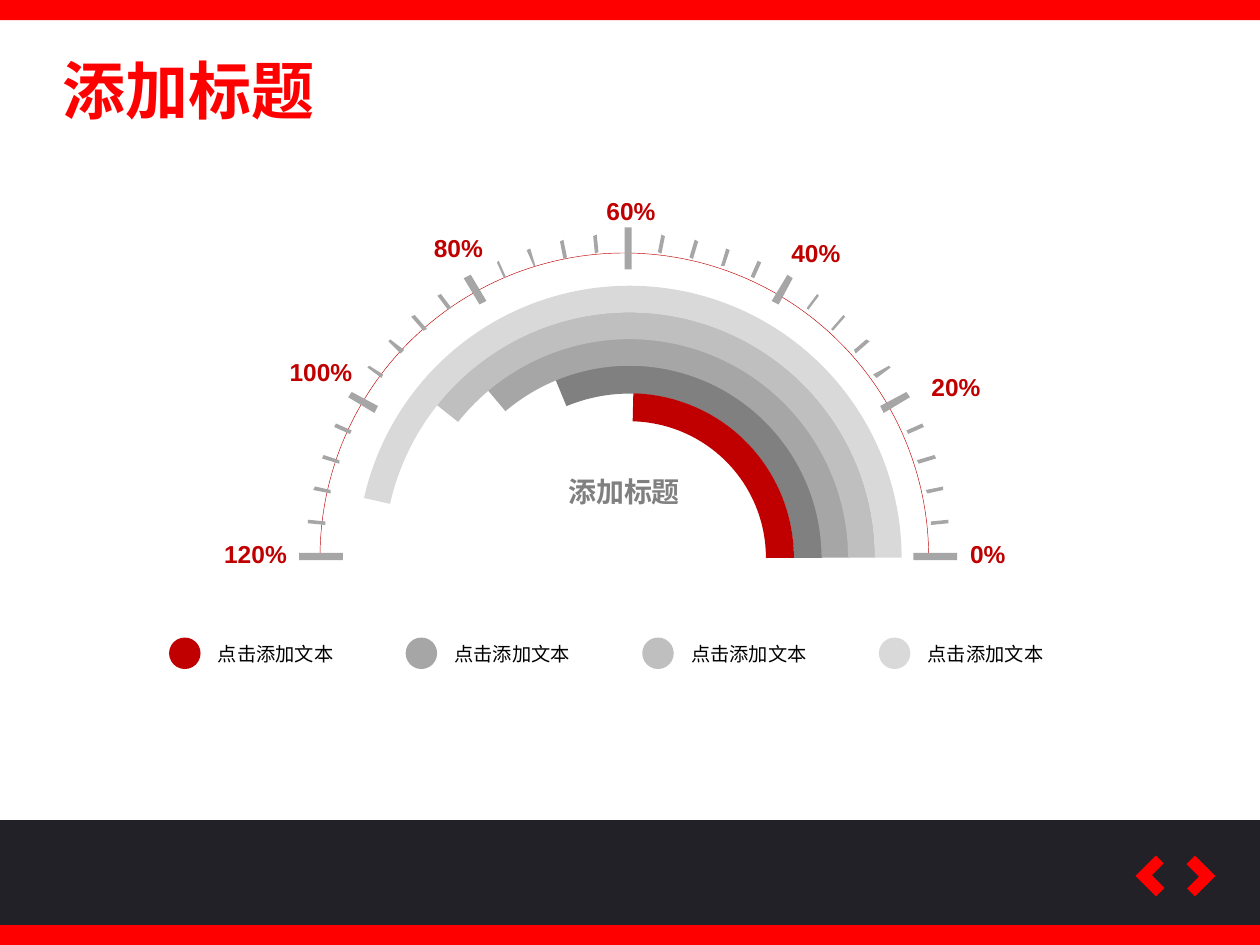
import math

import pptx
import pptx.dml.color
import pptx.enum.shapes
import pptx.enum.text
import pptx.oxml
import pptx.oxml.ns
import pptx.util

Pt = pptx.util.Pt
RGBColor = pptx.dml.color.RGBColor
SHAPE = pptx.enum.shapes.MSO_SHAPE
ALIGN = pptx.enum.text.PP_ALIGN

RED = RGBColor(0xFF, 0x00, 0x00)
DARK_RED = RGBColor(0xC0, 0x00, 0x00)
INK = RGBColor(0x22, 0x21, 0x27)
BLACK = RGBColor(0x00, 0x00, 0x00)
GRAY = RGBColor(0x80, 0x80, 0x80)
MID_GRAY = RGBColor(0xA6, 0xA6, 0xA6)
SILVER = RGBColor(0xBF, 0xBF, 0xBF)
PALE_GRAY = RGBColor(0xD9, 0xD9, 0xD9)

CJK = "Noto Sans CJK SC"
TITLE = {"size": Pt(36), "bold": True, "name": CJK}
CAPTION = {"size": Pt(16), "bold": True, "name": CJK}
LEGEND = {"size": Pt(11), "bold": False, "name": CJK}
PERCENT = {"size": Pt(14), "bold": True, "name": "Arial"}


def paint(shape, color):
    shape.shadow.inherit = False
    shape.fill.solid()
    shape.fill.fore_color.rgb = color
    shape.line.fill.background()


def add_filled(slide, preset, box, color, adjustments=(), rotation=0):
    shape = slide.shapes.add_shape(preset, *(Pt(length) for length in box))
    for index, value in enumerate(adjustments):
        shape.adjustments[index] = value
    shape.rotation = rotation
    paint(shape, color)


def add_text(slide, box, text, style, color, align=ALIGN.LEFT, wrap=False):
    frame = slide.shapes.add_textbox(*(Pt(length) for length in box)).text_frame
    frame.word_wrap = wrap
    paragraph = frame.paragraphs[0]
    paragraph.alignment = align
    run = paragraph.add_run()
    run.text = text
    for attribute, value in style.items():
        setattr(run.font, attribute, value)
    run.font.color.rgb = color
    east_asian = pptx.oxml.parse_xml(
        f'<a:ea {pptx.oxml.ns.nsdecls("a")} typeface="{style["name"]}"/>')
    run.font._element.append(east_asian)


def add_frame(slide, width, height):
    band = 11.5
    add_filled(slide, SHAPE.RECTANGLE, (0, height - band, width, band), RED)
    add_filled(slide, SHAPE.RECTANGLE, (0, 468.6, width, height - band - 468.6), INK)
    for left, rotation in ((652.3, 45), (674.6, 225)):
        add_filled(slide, SHAPE.CORNER, (left, 492.3, 16.5, 16.5), RED,
                   (0.415, 0.386), rotation)
    add_filled(slide, SHAPE.RECTANGLE, (0, 0, width, band), RED)


def add_rings(slide, center_x, center_y):
    rings = [
        (220.4, 247.46, 359.97, 0.074, GRAY),
        (250.6, 229.8, 359.9, 0.062, MID_GRAY),
        (280.8, 218.44, 359.97, 0.055, SILVER),
        (311, 192.71, 359.97, 0.049, PALE_GRAY),
        (188, 271.37, 0.07, 0.085, DARK_RED),
    ]
    for diameter, start, end, thickness, color in rings:
        box = (center_x - diameter / 2, center_y - diameter / 2, diameter, diameter)
        add_filled(slide, SHAPE.BLOCK_ARC, box, color,
                   (start * 0.6, end * 0.6, thickness))


def tick_corners(center_x, center_y, degrees):
    if degrees % 90 == 0:
        inner, outer, half = 163, 188, 2
    elif degrees % 30 == 0:
        inner, outer, half = 167, 184.5, 2
    else:
        inner, outer, half = 174, 184, 1
    cos, sin = math.cos(math.radians(degrees)), math.sin(math.radians(degrees))
    return [(center_x + radius * cos + side * sin, center_y - radius * sin + side * cos)
            for radius, side in ((inner, -half), (outer, -half), (outer, half), (inner, half))]


def add_scale(slide, center_x, center_y):
    radius = 173.9
    rim = slide.shapes.add_shape(
        SHAPE.ARC, Pt(center_x - 2.5 - radius), Pt(center_y + 1 - radius),
        Pt(2 * radius), Pt(2 * radius))
    rim.adjustments[0] = 180 * 0.6
    rim.adjustments[1] = 0
    rim.shadow.inherit = False
    rim.fill.background()
    rim.line.color.rgb = DARK_RED
    rim.line.width = Pt(0.25)

    ticks = [tick_corners(center_x, center_y, degrees) for degrees in range(0, 181, 6)]
    builder = slide.shapes.build_freeform(*ticks[0][0], scale=float(Pt(1)))
    for index, corners in enumerate(ticks):
        if index:
            builder.move_to(*corners[0])
        builder.add_line_segments(corners[1:], close=True)
    paint(builder.convert_to_shape(), MID_GRAY)


def add_gauge(slide, left, top):
    add_rings(slide, left + 239.7, top + 210.8)
    add_scale(slide, left + 239.3, top + 209.5)
    add_text(slide, (left + 187.4, top + 159.8, 98.6, 26.6), "添加标题",
             CAPTION, GRAY, ALIGN.CENTER, True)
    labels = [
        ("0%", 427.2, 196.6, 35.3),
        ("20%", 405.2, 100.8, 42.8),
        ("40%", 325.1, 24.3, 42.8),
        ("60%", 219.5, 0.5, 42.8),
        ("80%", 120.8, 21.6, 42.8),
        ("100%", 38.4, 92.4, 50.4),
        ("120%", 1, 196.6, 50.4),
    ]
    for text, x, y, width in labels:
        add_text(slide, (left + x, top + y, width, 24.2), text, PERCENT, DARK_RED)


def add_legend(slide, left, top):
    for index, color in enumerate((DARK_RED, MID_GRAY, SILVER, PALE_GRAY)):
        x = left + index * 135.2
        add_filled(slide, SHAPE.OVAL, (x, top + 0.7, 18, 18), color)
        add_text(slide, (x + 20.8, top, 81.4, 20.6), "点击添加文本", LEGEND, BLACK)


def main():
    presentation = pptx.Presentation()
    presentation.slide_width, presentation.slide_height = Pt(720), Pt(540)
    slide = presentation.slides.add_slide(presentation.slide_layouts[6])
    add_frame(slide, 720, 540)
    add_text(slide, (28.8, 25.9, 159.8, 51), "添加标题", TITLE, RED)
    add_gauge(slide, 120, 108)
    add_legend(slide, 96.6, 363.6)
    presentation.save("out.pptx")


if __name__ == "__main__":
    main()
